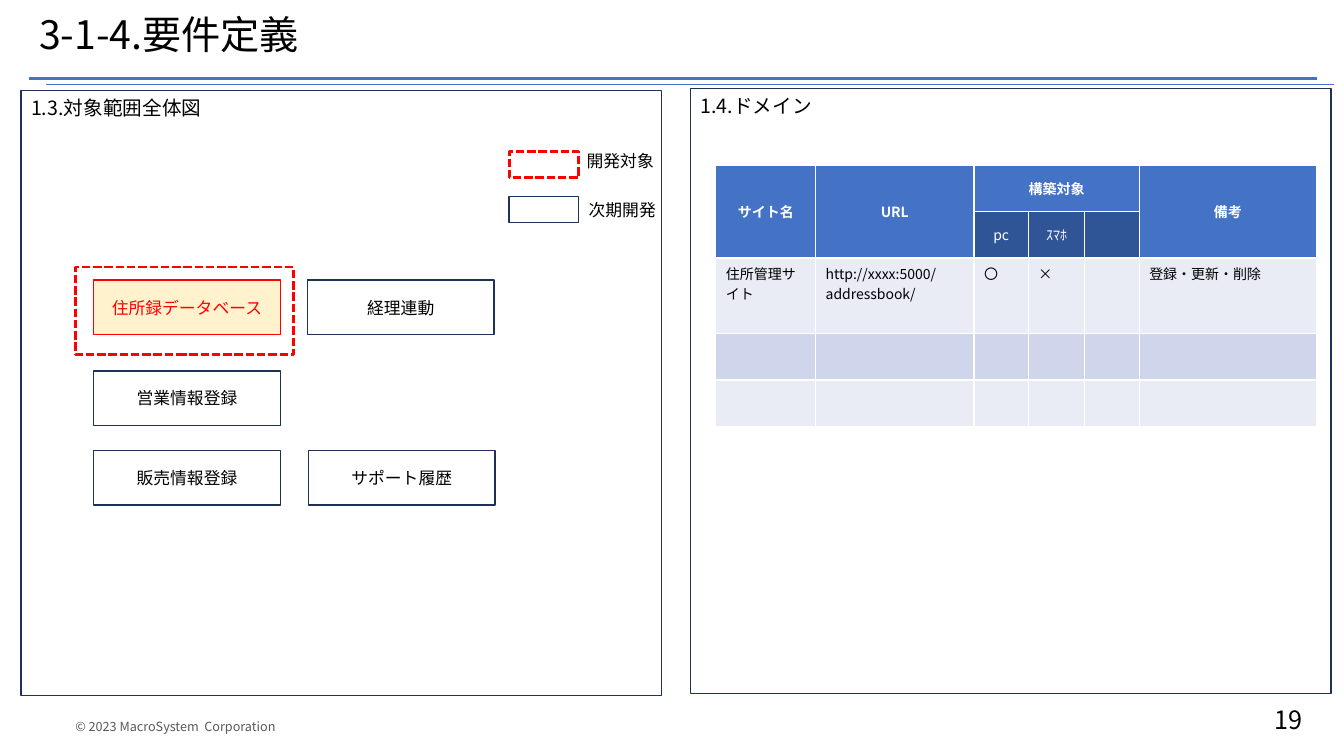
from lxml import etree
from pptx import Presentation
from pptx.dml.color import RGBColor
from pptx.enum.dml import MSO_LINE
from pptx.enum.shapes import MSO_CONNECTOR, MSO_SHAPE
from pptx.enum.text import MSO_ANCHOR, PP_ALIGN
from pptx.oxml.ns import qn
from pptx.util import Inches, Pt

LEFT, CENTER, RIGHT = PP_ALIGN.LEFT, PP_ALIGN.CENTER, PP_ALIGN.RIGHT
TOP, MIDDLE = MSO_ANCHOR.TOP, MSO_ANCHOR.MIDDLE
RECT = MSO_SHAPE.RECTANGLE
STRAIGHT = MSO_CONNECTOR.STRAIGHT
DASH = MSO_LINE.SQUARE_DOT

FONT = "Noto Sans CJK JP"
COLORS = {
    "black": "000000", "white": "FFFFFF", "gray": "595959", "red": "FF0000",
    "navy": "1E3256", "cream": "FFF2CC", "blue": "4472C4", "dark_blue": "2F5597",
    "band_light": "E9EBF5", "band_dark": "CFD5EA",
}
RGB = {name: RGBColor.from_string(value) for name, value in COLORS.items()}


def write(tf, text, size, color="black", align=LEFT, anchor=TOP, bold=None):
    tf.text = text
    tf.vertical_anchor = anchor
    p = tf.paragraphs[0]
    p.alignment = align
    for r in p.runs:
        r.font.size = Pt(size)
        r.font.bold = bold
        r.font.color.rgb = RGB[color]
        r.font.name = FONT
        # East Asian glyphs take their own typeface element
        etree.SubElement(r._r.get_or_add_rPr(), qn("a:ea")).set("typeface", FONT)


def add_box(x, y, w, h, line="navy", fill="white", dashed=False):
    sp = slide.shapes.add_shape(RECT, Inches(x), Inches(y), Inches(w), Inches(h))
    sp.shadow.inherit = False
    sp.line.color.rgb = RGB[line]
    sp.line.width = Pt(2 if dashed else 1)
    if dashed:
        sp.line.dash_style = DASH
        sp.fill.background()
    else:
        sp.fill.solid()
        sp.fill.fore_color.rgb = RGB[fill]
    return sp


prs = Presentation()
prs.slide_width, prs.slide_height = Inches(13.33), Inches(7.5)
slide = prs.slides.add_slide(prs.slide_layouts[6])

# Double rule under the title
for x, y, width in [(0.29, 0.78, 1.75), (0.46, 0.84, 1)]:
    rule = slide.shapes.add_connector(
        STRAIGHT, Inches(x), Inches(y), Inches(x + 12.77), Inches(y))
    rule.line.color.rgb = RGB["blue"]
    rule.line.width = Pt(width)
    etree.SubElement(rule._element.spPr, qn("a:effectLst"))

# Panels
for x, y, heading in [(0.21, 0.9, "1.3.対象範囲全体図"), (6.85, 0.88, "1.4.ドメイン")]:
    write(add_box(x, y, 6.35, 6).text_frame, heading, 14)

# Systems in scope
systems = [
    (0.93, 2.78, "住所録データベース", "red", "cream", "red"),
    (3.05, 2.78, "経理連動", "navy", "white", "black"),
    (0.93, 3.68, "営業情報登録", "navy", "white", "black"),
    (0.93, 4.47, "販売情報登録", "navy", "white", "black"),
    (3.06, 4.47, "サポート履歴", "navy", "white", "black"),
]
for x, y, name, line, fill, color in systems:
    system = add_box(x, y, 1.85, 0.54, line, fill)
    write(system.text_frame, name, 12, color, CENTER, MIDDLE)
add_box(0.75, 2.65, 2.16, 0.87, "red", dashed=True)

# Legend keys
add_box(5.05, 1.5, 0.69, 0.26, "red", dashed=True)
add_box(5.05, 1.95, 0.69, 0.26)

# Title, legend labels and footer
labels = [
    (0.29, 0, 12.77, 0.73, "3-1-4.要件定義", 28, "black", LEFT, MIDDLE, True),
    (5.72, 1.45, 0.88, 0.3, "開発対象", 12, "black", LEFT, TOP, False),
    (5.74, 1.93, 0.88, 0.3, "次期開発", 12, "black", LEFT, TOP, False),
    (0.65, 7.08, 3.66, 0.25, "© 2023 MacroSystem  Corporation", 9, "gray", LEFT, TOP, True),
    (11.14, 6.94, 1.88, 0.4, "19", 18, "black", RIGHT, TOP, True),
]
for x, y, w, h, text, size, color, align, anchor, wrap in labels:
    tf = slide.shapes.add_textbox(Inches(x), Inches(y), Inches(w), Inches(h)).text_frame
    tf.word_wrap = wrap
    write(tf, text, size, color, align, anchor)
    if size == 28:
        tf.paragraphs[0].line_spacing = 0.9

# Domain table
col_widths = [0.99, 1.57, 0.54, 0.56, 0.54, 1.76]
row_heights = [0.46, 0.46, 0.75, 0.46, 0.46]
rows = [
    ["サイト名", "URL", "構築対象", "", "", "備考"],
    ["", "", "pc", "ｽﾏﾎ", "", ""],
    ["住所管理サイト", "http://xxxx:5000/addressbook/", "〇", "×", "", "登録・更新・削除"],
    [""] * 6,
    [""] * 6,
]
row_fills = ["blue", "dark_blue", "band_light", "band_dark", "band_light"]
table = slide.shapes.add_table(
    len(rows), len(col_widths), Inches(7.1), Inches(1.64),
    Inches(sum(col_widths)), Inches(sum(row_heights))).table
for col, width in zip(table.columns, col_widths):
    col.width = Inches(width)
for row, height in zip(table.rows, row_heights):
    row.height = Inches(height)
for c in (0, 1, 5):
    table.cell(0, c).merge(table.cell(1, c))
table.cell(0, 2).merge(table.cell(0, 4))

for i, texts in enumerate(rows):
    header = i < 2
    for j, text in enumerate(texts):
        cell = table.cell(i, j)
        cell.fill.solid()
        cell.fill.fore_color.rgb = RGB[row_fills[i]]
        if text:
            write(cell.text_frame, text, 10, "white" if header else "black",
                  CENTER if header else LEFT, bold=i == 0)
            cell.vertical_anchor = MIDDLE if header else TOP

prs.save("out.pptx")
